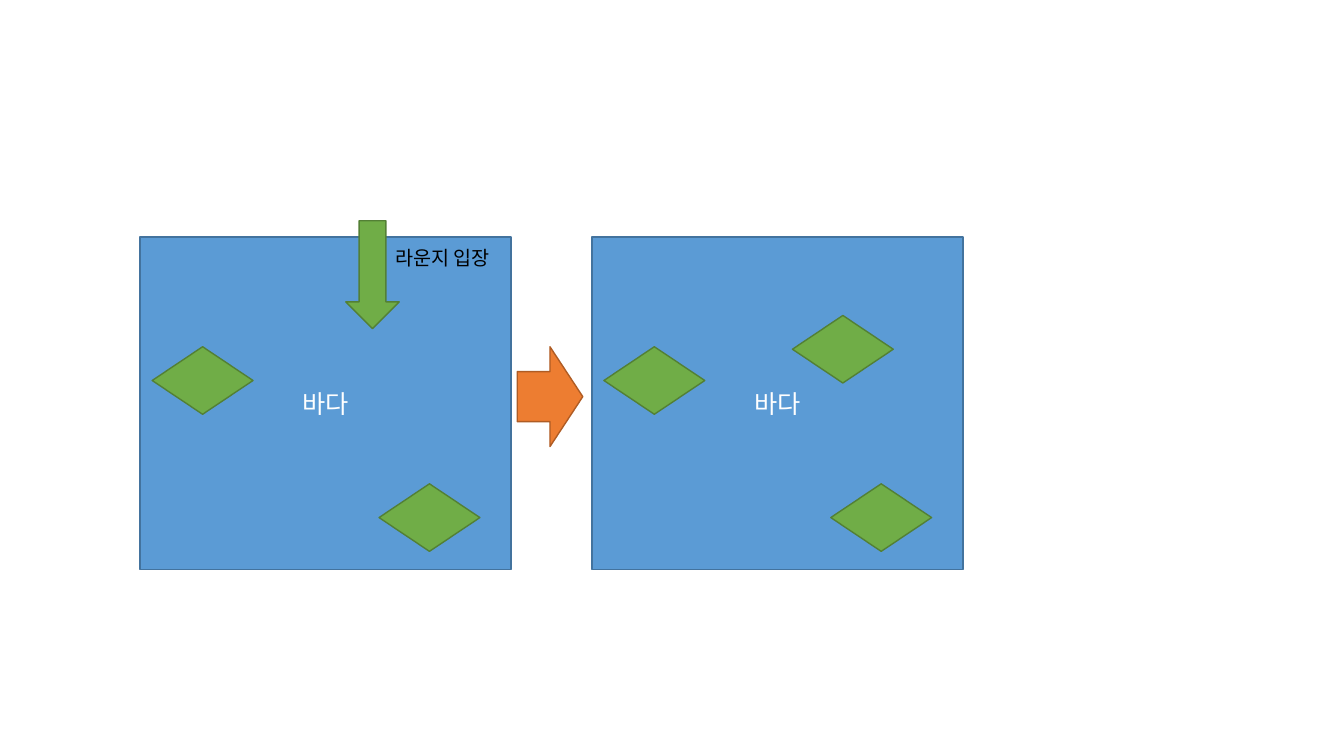
from lxml.etree import SubElement
from pptx import Presentation
from pptx.dml.color import RGBColor
from pptx.enum.shapes import MSO_SHAPE as Shape
from pptx.enum.text import MSO_ANCHOR as Anchor, MSO_AUTO_SIZE as AutoSize, PP_ALIGN as Align
from pptx.oxml.ns import qn
from pptx.util import Inches, Pt

COLORS = {
    "sea": "5B9BD5", "sea_edge": "43739E",
    "island": "70AD47", "island_edge": "538035",
    "step": "ED7D31", "step_edge": "AF5C24",
    "white": "FFFFFF", "black": "000000",
}


class SeaSlide:
    font_name = "Noto Sans CJK KR"

    def __init__(self, page):
        self.shapes = page.shapes.add_group_shape().shapes

    def color(self, name):
        return RGBColor.from_string(COLORS[name])

    def shape(self, kind, left, top, width, height, color):
        box = self.shapes.add_shape(kind, Inches(left), Inches(top), Inches(width), Inches(height))
        box.shadow.inherit = False
        box.fill.solid()
        box.fill.fore_color.rgb = self.color(color)
        box.line.color.rgb = self.color(color + "_edge")
        box.line.width = Pt(1)
        return box

    def set_text(self, box, text, size, color, align):
        para = box.text_frame.paragraphs[0]
        para.text = text
        para.alignment = align
        for span in para.runs:
            span.font.size = Pt(size)
            span.font.color.rgb = self.color(color)
            span.font.name = self.font_name
            SubElement(span.font._element, qn("a:ea"), typeface=self.font_name)

    def sea(self, left, top):
        box = self.shape(Shape.RECTANGLE, left, top, 3.68, 3.3, "sea")
        box.text_frame.vertical_anchor = Anchor.MIDDLE
        self.set_text(box, "바다", 18, "white", Align.CENTER)

    def island(self, left, top):
        self.shape(Shape.FLOWCHART_DECISION, left, top, 1, 0.67, "island")

    def label(self, text, left, top, width, height):
        box = self.shapes.add_textbox(Inches(left), Inches(top), Inches(width), Inches(height))
        box.text_frame.word_wrap = False
        box.text_frame.auto_size = AutoSize.SHAPE_TO_FIT_TEXT
        self.set_text(box, text, 14, "black", Align.LEFT)


def main():
    deck = Presentation()
    deck.slide_width, deck.slide_height = Inches(13.33), Inches(7.5)
    slide = SeaSlide(deck.slides.add_slide(deck.slide_layouts[6]))

    sea_top = 2.35
    before, after = 1.39, 5.87
    for sea_left in (before, after):
        slide.sea(sea_left, sea_top)
        for across, down in ((0.12, 1.09), (2.37, 2.45)):
            slide.island(sea_left + across, sea_top + down)

    slide.shape(Shape.DOWN_ARROW, 3.43, 2.19, 0.53, 1.07, "island")
    slide.label("라운지 입장", 3.82, 2.39, 1.25, 0.34)
    slide.island(after + 1.99, sea_top + 0.78)
    slide.shape(Shape.RIGHT_ARROW, 5.13, 3.44, 0.65, 0.99, "step")

    deck.save("out.pptx")


if __name__ == "__main__":
    main()
